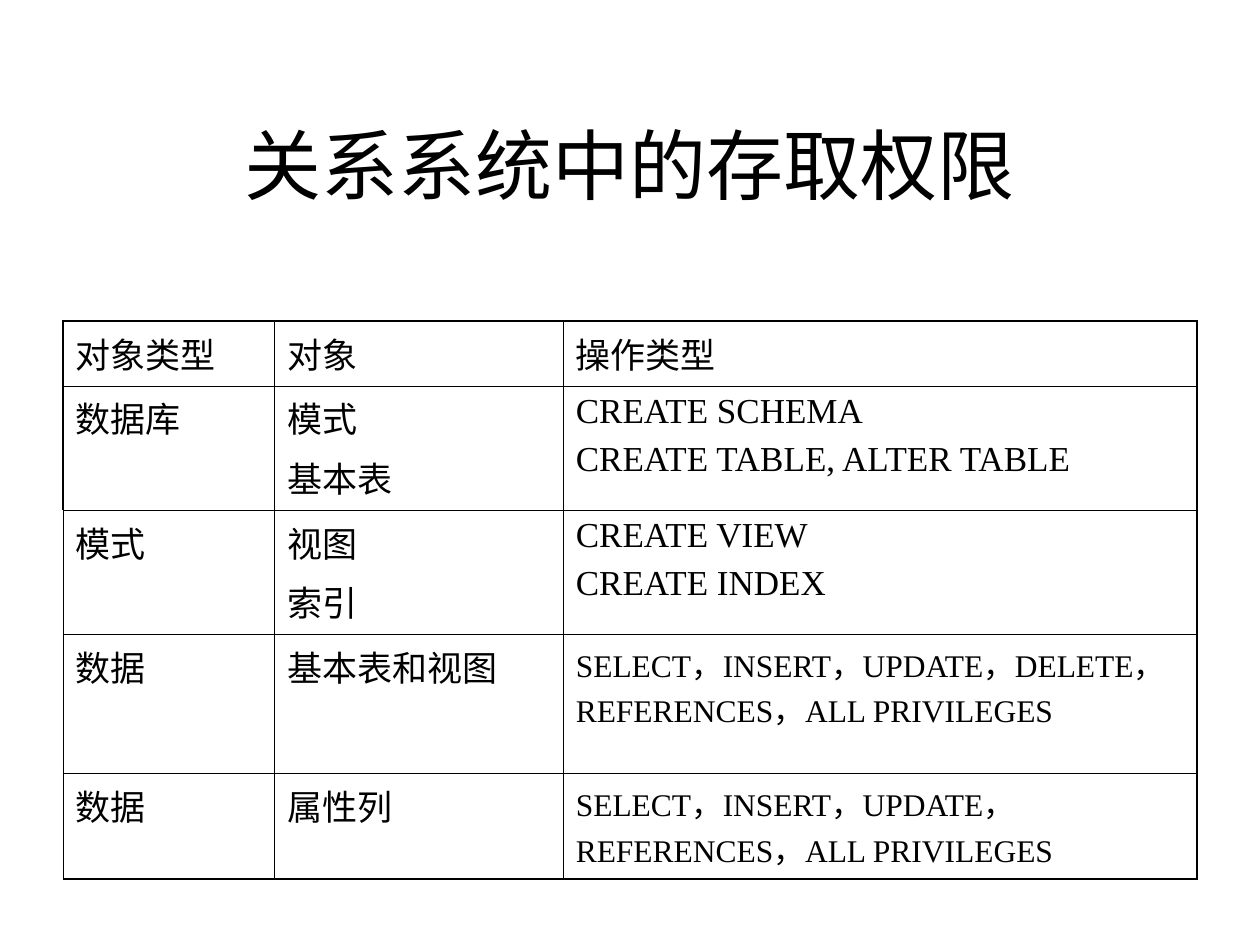
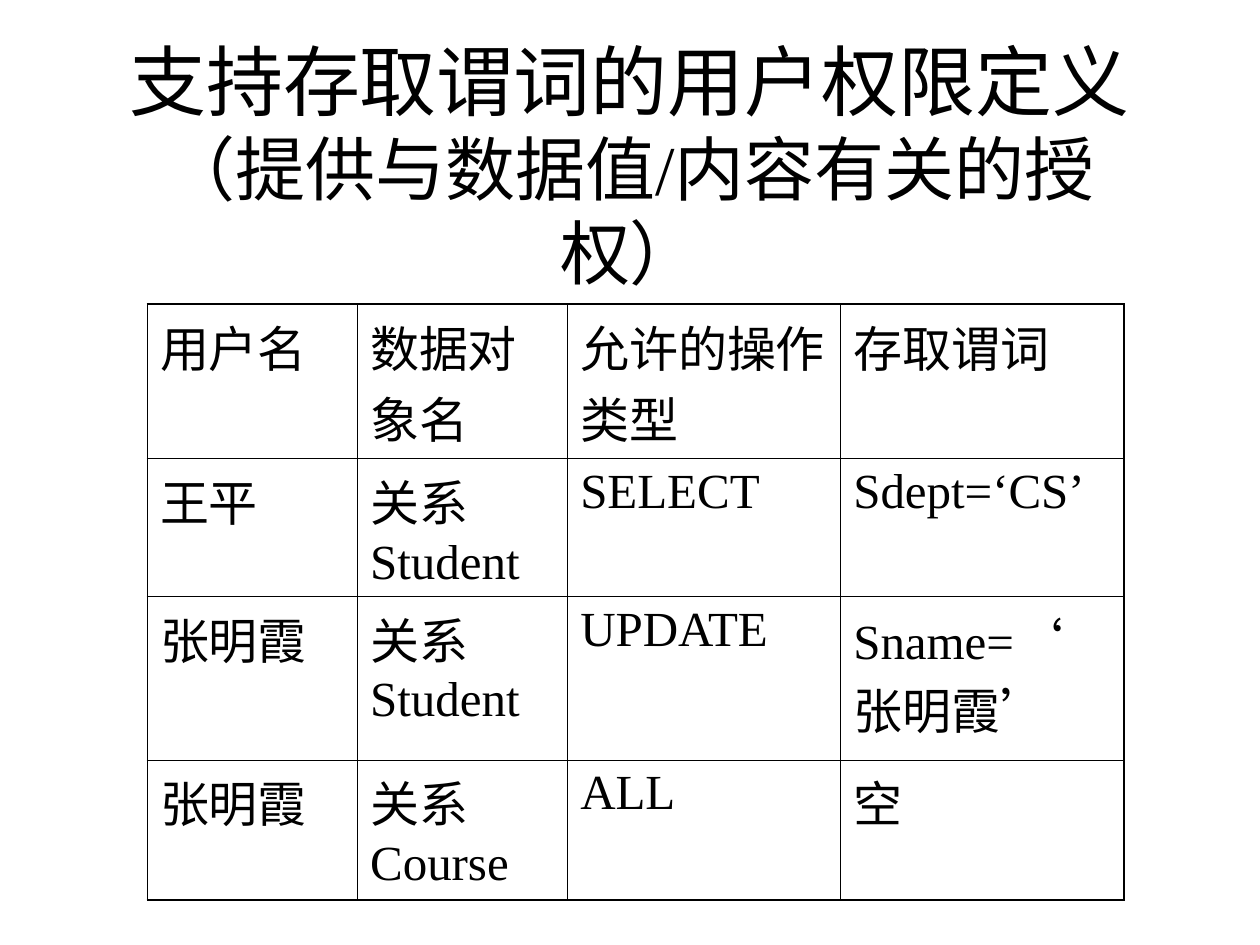
from dataclasses import dataclass

from lxml.etree import SubElement
from pptx import Presentation
from pptx.dml.color import RGBColor
from pptx.enum.lang import MSO_LANGUAGE_ID
from pptx.enum.text import MSO_ANCHOR, MSO_AUTO_SIZE, PP_ALIGN
from pptx.oxml.ns import qn
from pptx.util import Inches, Pt


@dataclass(frozen=True)
class Theme:
    ink: str = "000000"
    paper: str = "FFFFFF"
    font: str = "Times New Roman"
    title_size: int = 44
    subtitle_size: int = 40
    thin_line: float = 0.45
    thick_line: float = 1.08
    paragraph_gap: float = 0.25


class Deck:
    def __init__(self, theme):
        self.theme = theme
        self.presentation = Presentation()
        self.presentation.slide_width = Inches(10)
        self.presentation.slide_height = Inches(7.5)
        self.slide = None

    def across(self, share):
        return int(self.presentation.slide_width * share)

    def down(self, share):
        return int(self.presentation.slide_height * share)

    def add_slide(self):
        layout = self.presentation.slide_layouts[5]
        self.slide = self.presentation.slides.add_slide(layout)
        fill = self.slide.background.fill
        fill.solid()
        fill.fore_color.rgb = RGBColor.from_string(self.theme.paper)

    def format_run(self, run, size):
        run.font.name = self.theme.font
        run.font.size = Pt(size)
        run.font.color.rgb = RGBColor.from_string(self.theme.ink)
        run.font.language_id = MSO_LANGUAGE_ID.SIMPLIFIED_CHINESE

    def add_title(self, *lines):
        title = self.slide.shapes.title
        title.left, title.top = self.across(0.075), self.down(0.09)
        title.width, title.height = self.across(0.85), self.down(1 / 6)
        text_frame = title.text_frame
        text_frame.text = "\v".join(lines)
        text_frame.word_wrap = True
        text_frame.auto_size = MSO_AUTO_SIZE.NONE
        text_frame.vertical_anchor = MSO_ANCHOR.MIDDLE
        paragraph = text_frame.paragraphs[0]
        paragraph.alignment = PP_ALIGN.CENTER
        sizes = (self.theme.title_size, self.theme.subtitle_size)
        for run, size in zip(paragraph.runs, sizes):
            self.format_run(run, size)

    def add_table(self, left, top, width, height, columns, rows, texts,
                  size, small_cells=(), small_size=None, thick_left_rows=None):
        frame = self.slide.shapes.add_table(
            len(rows), len(columns), self.across(left), self.down(top),
            self.across(width), self.down(height))
        table = frame.table
        table.first_row = False
        table.horz_banding = False
        for column, weight in zip(table.columns, columns):
            column.width = self.across(width * weight / sum(columns))
        for row, weight in zip(table.rows, rows):
            row.height = self.down(height * weight / sum(rows))

        last_row, last_column = len(rows) - 1, len(columns) - 1
        if thick_left_rows is None:
            thick_left_rows = len(rows)
        for row_index, row_texts in enumerate(texts):
            for column_index, text in enumerate(row_texts):
                cell = table.cell(row_index, column_index)
                small = (row_index, column_index) in small_cells
                self.fill_cell(cell, text, small_size if small else size)
                self.draw_borders(cell, {
                    "L": column_index == 0 and row_index < thick_left_rows,
                    "R": column_index == last_column,
                    "T": row_index == 0,
                    "B": row_index == last_row,
                })

    def fill_cell(self, cell, text, size):
        cell.fill.background()
        cell.vertical_anchor = MSO_ANCHOR.TOP
        cell.text_frame.text = text
        for index, paragraph in enumerate(cell.text_frame.paragraphs):
            if index:
                paragraph.space_before = Pt(size * self.theme.paragraph_gap)
            for run in paragraph.runs:
                self.format_run(run, size)

    def draw_borders(self, cell, thick_sides):
        properties = cell._tc.get_or_add_tcPr()
        for index, (side, thick) in enumerate(thick_sides.items()):
            points = self.theme.thick_line if thick else self.theme.thin_line
            line = SubElement(properties, qn(f"a:ln{side}"), w=str(Pt(points)))
            fill = SubElement(line, qn("a:solidFill"))
            SubElement(fill, qn("a:srgbClr"), val=self.theme.ink)
            properties.insert(index, line)


def add_privileges_slide(deck):
    deck.add_slide()
    deck.add_title("关系系统中的存取权限")
    deck.add_table(
        0.05, 0.34, 0.9, 0.59,
        columns=(1.68, 2.29, 5.03),
        rows=(0.51, 0.98, 0.98, 1.1, 0.83),
        texts=(
            ("对象类型", "对象", "操作类型"),
            ("数据库", "模式\n基本表", "CREATE SCHEMA\nCREATE TABLE, ALTER TABLE"),
            ("模式", "视图\n索引", "CREATE VIEW\nCREATE INDEX"),
            ("数据", "基本表和视图",
             "SELECT，INSERT，UPDATE，DELETE，REFERENCES，ALL PRIVILEGES"),
            ("数据", "属性列", "SELECT，INSERT，UPDATE，REFERENCES，ALL PRIVILEGES"),
        ),
        size=20, small_cells=((3, 2), (4, 2)), small_size=18, thick_left_rows=2)


def add_predicates_slide(deck):
    deck.add_slide()
    deck.add_title("支持存取谓词的用户权限定义", "（提供与数据值/内容有关的授权）")
    deck.add_table(
        0.117, 0.322, 0.775, 0.604,
        columns=(1.67, 1.67, 2.17, 2.25),
        rows=(1.04, 1.08, 1.3, 1.11),
        texts=(
            ("用户名", "数据对象名", "允许的操作类型", "存取谓词"),
            ("王平", "关系Student", "SELECT", "Sdept=‘CS’"),
            ("张明霞", "关系Student", "UPDATE", "Sname=‘张明霞’"),
            ("张明霞", "关系Course", "ALL", "空"),
        ),
        size=28)


def main():
    deck = Deck(Theme())
    add_privileges_slide(deck)
    add_predicates_slide(deck)
    deck.presentation.save("out.pptx")


if __name__ == "__main__":
    main()
